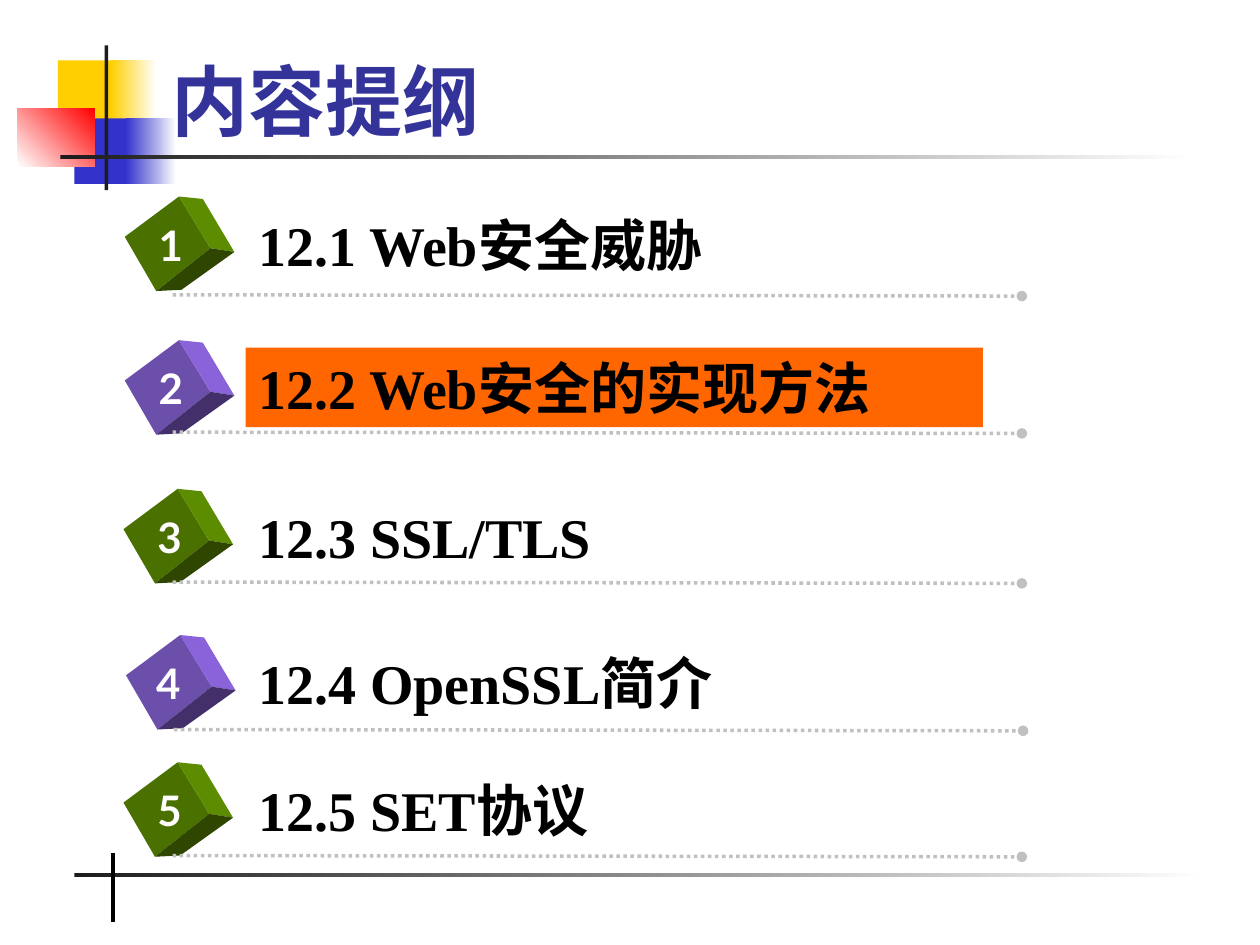
from lxml.etree import SubElement
from pptx import Presentation
from pptx.dml.color import RGBColor
from pptx.enum.dml import MSO_LINE_DASH_STYLE as DASH
from pptx.enum.shapes import MSO_CONNECTOR, MSO_SHAPE
from pptx.enum.text import MSO_ANCHOR, MSO_AUTO_SIZE, PP_ALIGN
from pptx.oxml.ns import qn
from pptx.util import Inches, Pt

COLORS = {
    "yellow": "FFCF01", "blue": "3333CC", "red": "FF0000", "ink": "1C1C1C",
    "white": "FFFFFF", "black": "000000", "title": "333399",
    "dots": "C0C0C0", "highlight": "FF6600",
}
CUBE_COLORS = {
    "green": ("4A7000", "5C8C00", "2E4600"),
    "purple": ("6C4FAB", "8A62D9", "432F6A"),
}
CUBE_FACES = [
    [(0, 0.32), (0.43, 0), (0.68, 0.41), (0.25, 0.75)],
    [(0.43, 0), (0.62, 0.02), (0.87, 0.44), (0.68, 0.41)],
    [(0.25, 0.75), (0.45, 0.74), (0.87, 0.44), (0.68, 0.41)],
]
TITLE = "内容提纲"
# fmt: (text, cube colour, cube left, number left, text top, text width, line left, line top)
TOPICS = [
    ("12.1 Web安全威胁", "green", 0.99, 1.16, 1.62, 6.16, 1.37, 2.34),
    ("12.2 Web安全的实现方法", "purple", 0.99, 1.16, 2.76, 5.85, 1.37, 3.43),
    ("12.3 SSL/TLS", "green", 0.98, 1.15, 3.94, 6.01, 1.37, 4.62),
    ("12.4 OpenSSL简介", "purple", 1.0, 1.14, 5.1, 6.16, 1.38, 5.79),
    ("12.5 SET协议", "green", 0.98, 1.15, 6.11, 6.01, 1.37, 6.79),
]
HIGHLIGHTED = 2
DECORATIONS = [
    ((0.46, 0.48, 0.48, 0.52), ["yellow"], 0),
    ((0.88, 0.48, 0.36, 0.52), ["yellow", "white"], 0),
    ((0.59, 0.94, 0.46, 0.52), ["blue"], 0),
    ((1, 0.94, 0.4, 0.52), ["blue", "white"], 0),
    ((0.14, 0.86, 0.61, 0.46), ["white", "red"], 45),
    ((0.83, 0.36, 0.03, 1.15), ["ink"], 0),
    ((0.48, 1.23, 9, 0.03), ["ink", "white"], 0),
    ((0.59, 6.93, 9, 0.03), ["ink", "white"], 0),
]


def rgb(name):
    return RGBColor.from_string(COLORS.get(name, name))


def fill_solid(shape, color):
    shape.fill.solid()
    shape.fill.fore_color.rgb = rgb(color)


def set_font(paragraph, name, size, color):
    font = paragraph.font
    font.name, font.size, font.bold = name, Pt(size), True
    font.color.rgb = rgb(color)


def add_decoration(slide, box, colors, angle):
    shape = slide.shapes.add_shape(MSO_SHAPE.RECTANGLE, *map(Inches, box))
    shape.shadow.inherit = False
    shape.line.fill.background()
    if len(colors) == 1:
        fill_solid(shape, colors[0])
        return
    shape.fill.gradient()
    shape.fill.gradient_angle = angle
    for stop, color in zip(shape.fill.gradient_stops, colors):
        stop.color.rgb = rgb(color)


def add_line(slide, start, end, color, width):
    line = slide.shapes.add_connector(
        MSO_CONNECTOR.STRAIGHT, *map(Inches, start + end))
    line.line.color.rgb = rgb(color)
    line.line.width = Pt(width)
    SubElement(line._element.spPr, qn("a:effectLst"))
    return line


def add_dotted_line(slide, left, top):
    line = add_line(slide, (left, top), (left + 6.74, top + 0.01), "dots", 2)
    line.line.dash_style = DASH.ROUND_DOT
    SubElement(line.line._get_or_add_ln(), qn("a:tailEnd"), type="oval")


def add_cube(slide, left, top, colors):
    for face, color in zip(CUBE_FACES, colors):
        points = [(Inches(left + x), Inches(top + y)) for x, y in face]
        builder = slide.shapes.build_freeform(*points[0])
        builder.add_line_segments(points[1:])
        shape = builder.convert_to_shape()
        shape.shadow.inherit = False
        shape.line.fill.background()
        fill_solid(shape, color)


def add_text(slide, box, text, name, size, color, wrap=True):
    shape = slide.shapes.add_textbox(*map(Inches, box))
    frame = shape.text_frame
    frame.word_wrap = wrap
    frame.auto_size = MSO_AUTO_SIZE.SHAPE_TO_FIT_TEXT
    frame.text = text
    set_font(frame.paragraphs[0], name, size, color)
    return shape


def add_topic(slide, number, topic):
    text, color, cube_left, number_left, top, width, line_left, line_top = topic
    add_cube(slide, cube_left, top - 0.06, CUBE_COLORS[color])
    label = add_text(slide, (1.95, top, width, 0.63), text,
                     "Times New Roman", 32, "black")
    if number == HIGHLIGHTED:
        fill_solid(label, "highlight")
    digit = add_text(slide, (number_left, top + 0.07, 0.39, 0.5), str(number),
                     "Lato", 24, "white", wrap=False)
    digit.text_frame.paragraphs[0].alignment = PP_ALIGN.CENTER
    add_dotted_line(slide, line_left, line_top)


def main():
    """Build the chapter outline slide."""
    presentation = Presentation()
    presentation.slide_width, presentation.slide_height = Inches(10), Inches(7.5)
    slide = presentation.slides.add_slide(presentation.slide_layouts[5])
    for decoration in DECORATIONS:
        add_decoration(slide, *decoration)
    add_line(slide, (0.9, 6.77), (0.9, 7.32), "black", 2.25)

    title = slide.shapes.title
    title.left, title.top = Inches(1.26), Inches(0.16)
    title.width, title.height = Inches(8.52), Inches(1.05)
    title.text_frame.text = TITLE
    title.text_frame.vertical_anchor = MSO_ANCHOR.BOTTOM
    paragraph = title.text_frame.paragraphs[0]
    paragraph.alignment = PP_ALIGN.LEFT
    set_font(paragraph, "Times New Roman", 44, "title")
    slide.shapes._spTree.append(title._element)

    for number, topic in enumerate(TOPICS, 1):
        add_topic(slide, number, topic)
    presentation.save("out.pptx")


if __name__ == "__main__":
    main()
